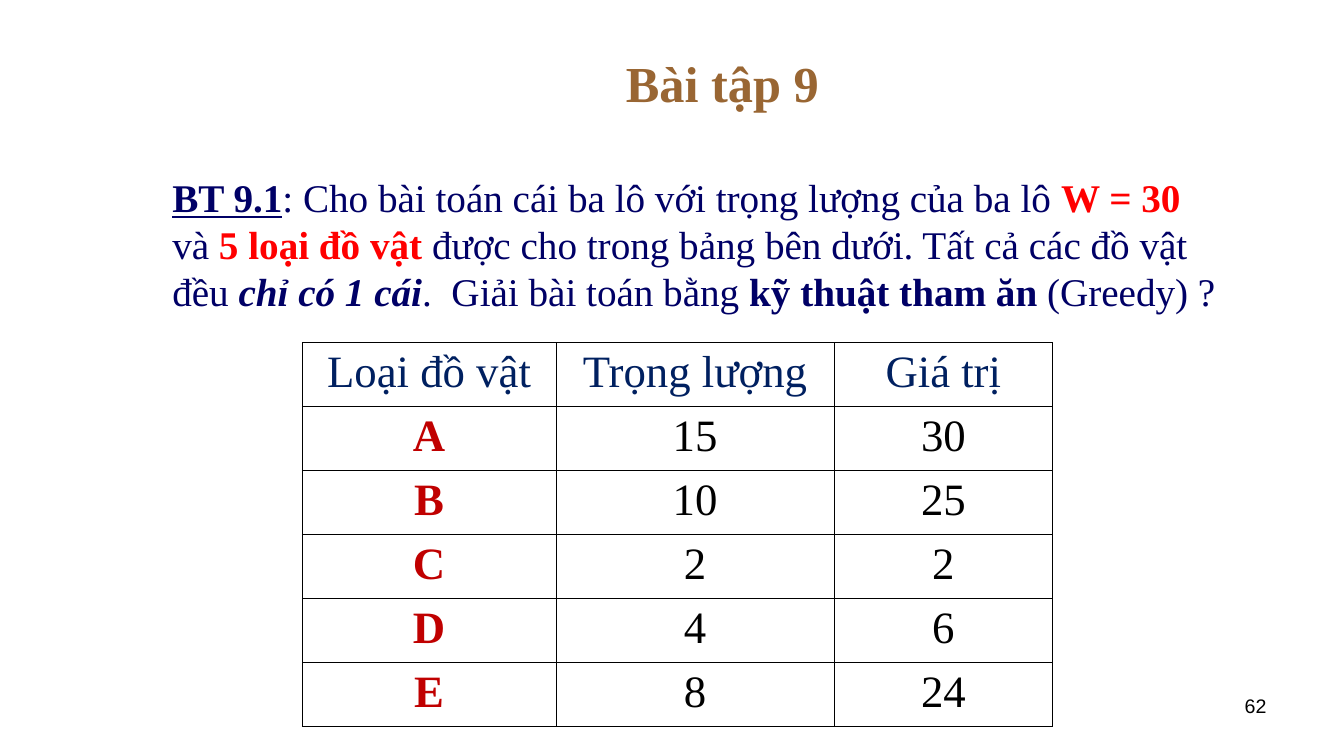
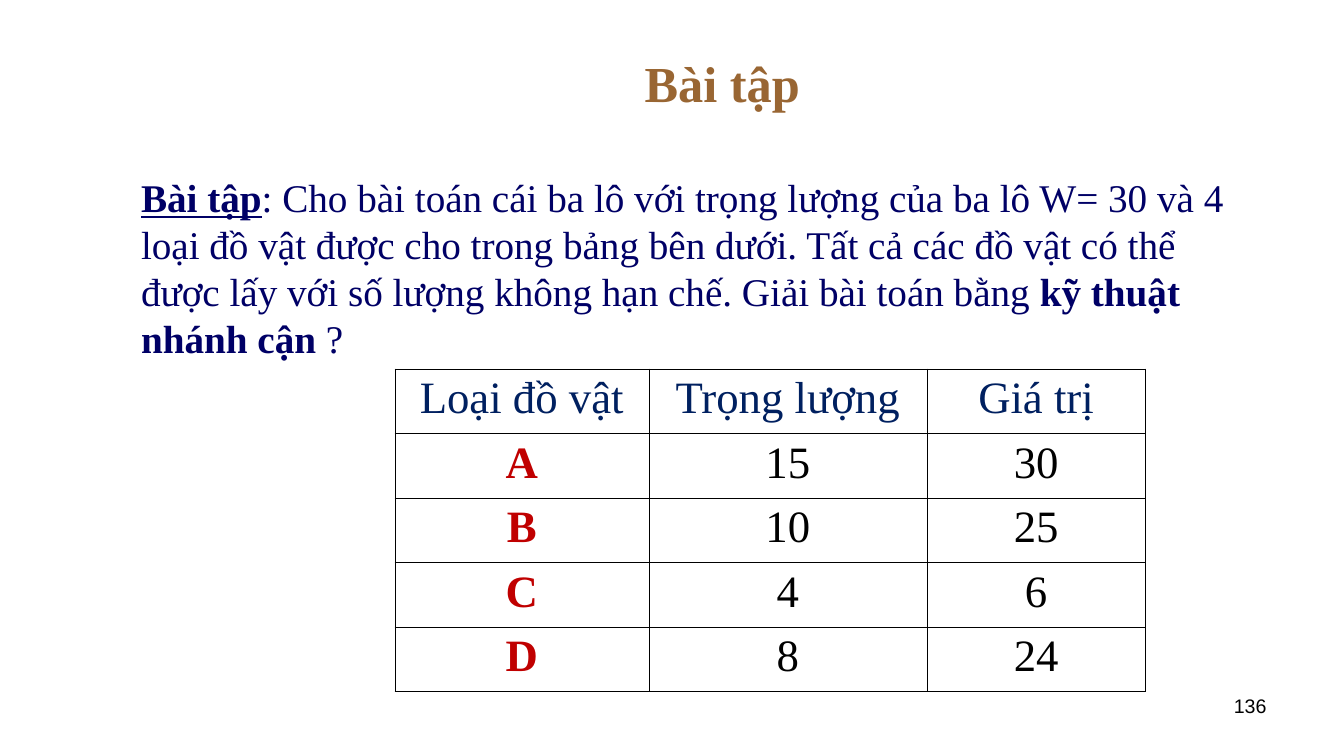
from lxml.etree import SubElement
from pptx import Presentation
from pptx.dml.color import RGBColor
from pptx.enum.text import MSO_ANCHOR as Anchor, MSO_AUTO_SIZE as AutoSize, PP_ALIGN as Align
from pptx.oxml.ns import qn
from pptx.util import Pt

EMU_PER_PX = 9144
COLORS = {
    "paper": "FFFFFF",
    "ink": "000000",
    "title": "996633",
    "body": "000066",
    "key": "FF0000",
    "header": "002060",
    "item": "C00000",
}
SERIF, SANS = "Times New Roman", "Arial"
COLUMN_WIDTHS = (252, 276, 217)
HEADINGS = ("Loại đồ vật", "Trọng lượng", "Giá trị")


def px(length):
    return length * EMU_PER_PX


class ExerciseDeck:
    def __init__(self):
        self.deck = Presentation()
        self.deck.slide_width, self.deck.slide_height = px(1334), px(750)
        self.slide = None

    def color(self, font, name):
        font.color.rgb = RGBColor.from_string(COLORS[name])

    def style(self, paragraph, size, color, bold=False, align=Align.LEFT, face=SERIF):
        paragraph.alignment = align
        paragraph.space_before = Pt(0)
        font = paragraph.font
        font.name, font.size, font.bold = face, Pt(size), bold
        self.color(font, color)

    def place(self, shape, left, top, width, height):
        shape.left, shape.top = px(left), px(top)
        shape.width, shape.height = px(width), px(height)
        shape.text_frame.auto_size = AutoSize.NONE
        shape.text_frame.word_wrap = True

    def start(self, title, number):
        self.slide = self.deck.slides.add_slide(self.deck.slide_layouts[1])
        heading = self.slide.shapes.title
        self.place(heading, 167, 30, 1100, 103)
        heading.text_frame.vertical_anchor = Anchor.MIDDLE
        heading.text_frame.text = title
        self.style(heading.text_frame.paragraphs[0], 36, "title", True, Align.CENTER)
        self.page_number(number)

    def page_number(self, number):
        footer = self.slide.shapes.add_textbox(px(956), px(683), px(311), px(52))
        footer.text_frame.word_wrap = True
        footer.text_frame.text = str(number)
        self.style(footer.text_frame.paragraphs[0], 14, "ink", align=Align.RIGHT, face=SANS)

    def statement(self, box, parts):
        body = self.slide.placeholders[1]
        self.place(body, *box)
        paragraph = body.text_frame.paragraphs[0]
        properties = paragraph._p.get_or_add_pPr()
        properties.set("marL", str(px(38)))
        properties.set("indent", "0")
        SubElement(properties, qn("a:buNone"))
        self.style(paragraph, 28, "body")
        for text, kind in parts:
            run = paragraph.add_run()
            run.text = text
            if kind != "plain":
                run.font.bold = True
            if kind == "label":
                run.font.underline = True
            elif kind == "emphasis":
                run.font.italic = True
            elif kind == "key":
                self.color(run.font, "key")

    def border(self, cell):
        properties = cell._tc.get_or_add_tcPr()
        for side in ("lnL", "lnR", "lnT", "lnB"):
            line = SubElement(properties, qn(f"a:{side}"), w=str(Pt(0.45)))
            fill = SubElement(line, qn("a:solidFill"))
            SubElement(fill, qn("a:srgbClr"), val=COLORS["ink"])

    def items_table(self, left, top, row_height, items):
        rows = [HEADINGS, *items]
        frame = self.slide.shapes.add_table(
            len(rows), len(HEADINGS), px(left), px(top),
            px(sum(COLUMN_WIDTHS)), px(row_height * len(rows)))
        table = frame.table
        table.first_row = table.horz_banding = False
        for column, width in zip(table.columns, COLUMN_WIDTHS):
            column.width = px(width)
        for row_index, values in enumerate(rows):
            table.rows[row_index].height = px(row_height)
            for column_index, value in enumerate(values):
                cell = table.cell(row_index, column_index)
                self.border(cell)
                cell.fill.solid()
                cell.fill.fore_color.rgb = RGBColor.from_string(COLORS["paper"])
                cell.text = str(value)
                is_item = row_index > 0 and column_index == 0
                color = "header" if row_index == 0 else "item" if is_item else "ink"
                self.style(cell.text_frame.paragraphs[0], 32, color, is_item, Align.CENTER)


def main():
    exercises = ExerciseDeck()

    exercises.start("Bài tập 9", 62)
    exercises.statement((123, 167, 1100, 183), [
        ("BT 9.1", "label"),
        (": Cho bài toán cái ba lô với trọng lượng của ba lô ", "plain"),
        ("W = 30 ", "key"),
        ("và ", "plain"),
        ("5 loại đồ vật ", "key"),
        ("được cho trong bảng bên dưới. Tất cả các đồ vật đều ", "plain"),
        ("chỉ có 1 cái", "emphasis"),
        (".  Giải bài toán bằng ", "plain"),
        ("kỹ thuật tham ăn ", "strong"),
        ("(Greedy) ?", "plain"),
    ])
    exercises.items_table(300, 340, 63, [
        ("A", 15, 30), ("B", 10, 25), ("C", 2, 2), ("D", 4, 6), ("E", 8, 24)])

    exercises.start("Bài tập", 136)
    exercises.statement((92, 167, 1133, 225), [
        ("Bài tập", "label"),
        (": Cho bài toán cái ba lô với trọng lượng của ba lô W= 30 và 4 loại đồ vật "
         "được cho trong bảng bên dưới. Tất cả các đồ vật có thể được lấy với số lượng "
         "không hạn chế. Giải bài toán bằng ", "plain"),
        ("kỹ thuật nhánh cận", "strong"),
        (" ?", "plain"),
    ])
    exercises.items_table(392, 366, 64, [
        ("A", 15, 30), ("B", 10, 25), ("C", 4, 6), ("D", 8, 24)])

    exercises.deck.save("out.pptx")


if __name__ == "__main__":
    main()
